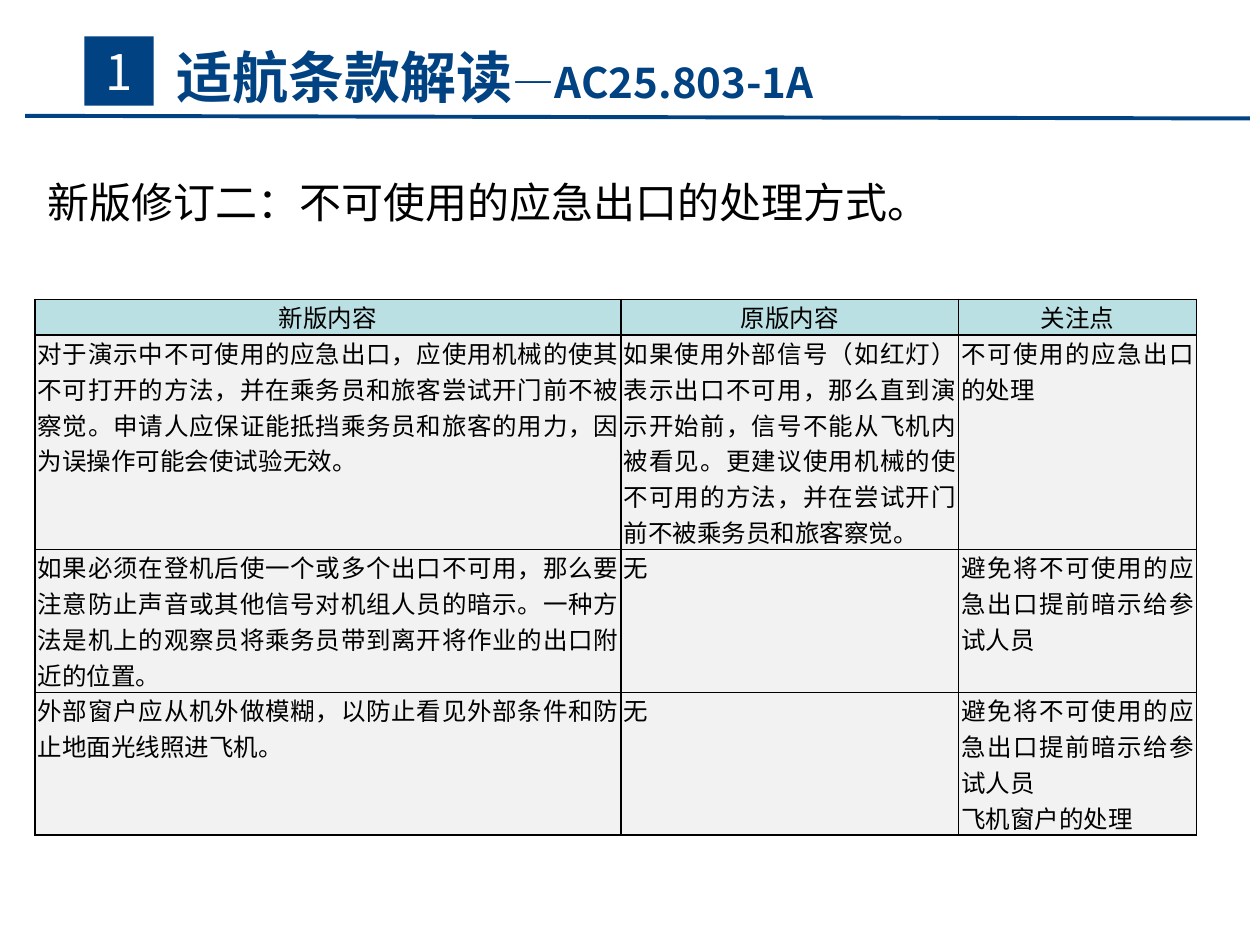
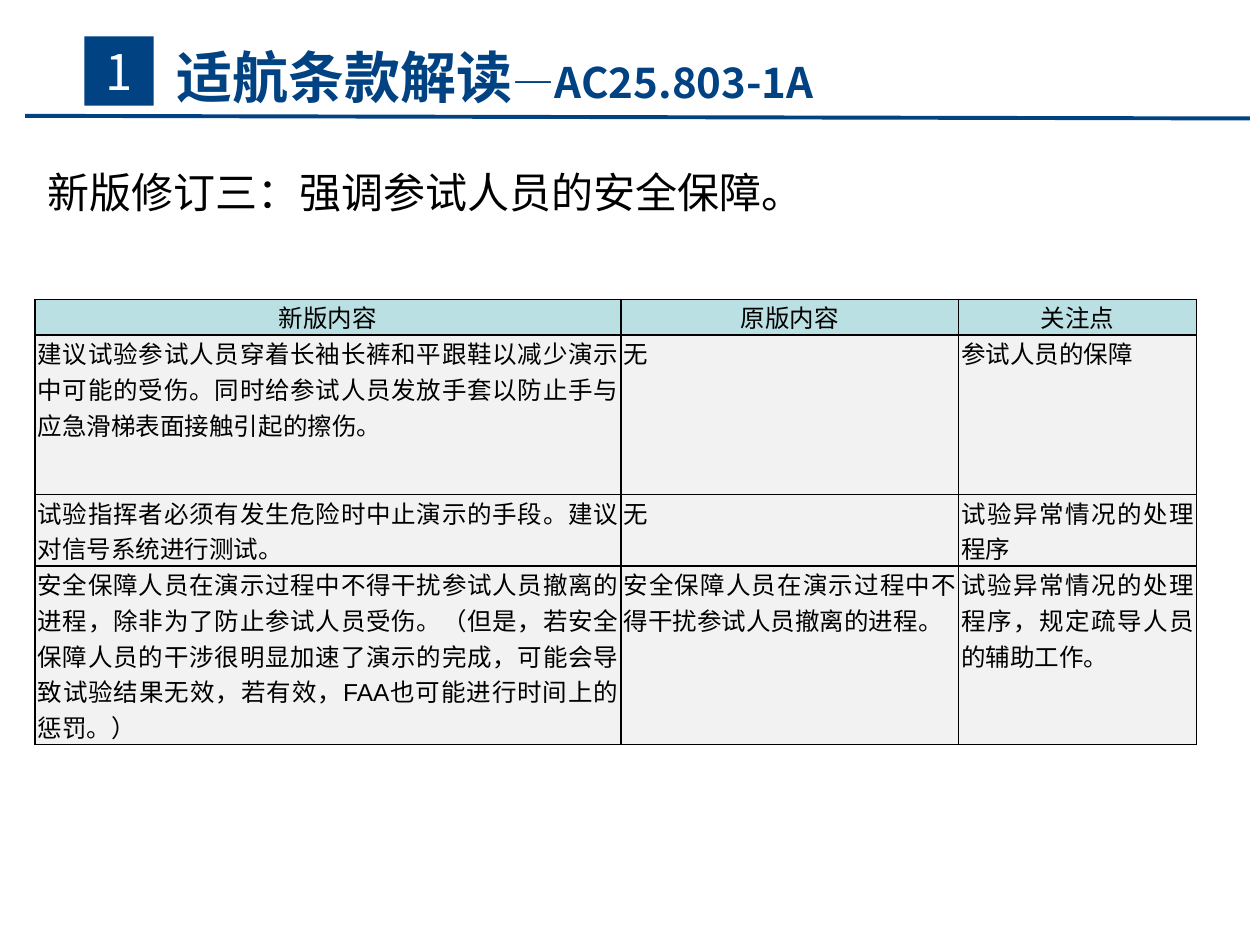
from lxml import etree
from pptx import Presentation
from pptx.dml.color import RGBColor
from pptx.enum.shapes import MSO_CONNECTOR as Line, MSO_SHAPE as Shape
from pptx.enum.text import MSO_ANCHOR as Anchor, PP_ALIGN as Align
from pptx.oxml.ns import qn
from pptx.util import Pt

COLORS = {"navy": "004282", "white": "FFFFFF", "black": "000000",
          "head": "BBE0E3", "body": "F2F2F2"}
HAN = "Noto Sans CJK SC"
ARIAL = "Arial"
TIMES = "Times New Roman"

COLS = (334.8, 193, 136)
ROW = 20.4
HEADS = ("新版内容", "原版内容", "关注点")
NONE = "无"
HINT = "避免将不可使用的应急出口提前暗示给参试人员"

# Each row: height in points, then the text of its cells.
EXITS = (
    (6 * ROW,
     "对于演示中不可使用的应急出口，应使用机械的使其不可打开的方法，"
     "并在乘务员和旅客尝试开门前不被察觉。申请人应保证能抵挡乘务员和旅客的用力，"
     "因为误操作可能会使试验无效。",
     "如果使用外部信号（如红灯）表示出口不可用，那么直到演示开始前，"
     "信号不能从飞机内被看见。更建议使用机械的使不可用的方法，"
     "并在尝试开门前不被乘务员和旅客察觉。",
     "不可使用的应急出口的处理"),
    (4 * ROW,
     "如果必须在登机后使一个或多个出口不可用，那么要注意防止声音或其他信号"
     "对机组人员的暗示。一种方法是机上的观察员将乘务员带到离开将作业的出口附近的位置。",
     NONE, HINT),
    (4 * ROW,
     "外部窗户应从机外做模糊，以防止看见外部条件和防止地面光线照进飞机。",
     NONE, HINT + "\n飞机窗户的处理"),
)
SAFETY = (
    (91.2,
     "建议试验参试人员穿着长袖长裤和平跟鞋以减少演示中可能的受伤。"
     "同时给参试人员发放手套以防止手与应急滑梯表面接触引起的擦伤。",
     NONE, "参试人员的保障"),
    (2 * ROW,
     "试验指挥者必须有发生危险时中止演示的手段。建议对信号系统进行测试。",
     NONE, "试验异常情况的处理程序"),
    (5 * ROW,
     "安全保障人员在演示过程中不得干扰参试人员撤离的进程，除非为了防止参试人员受伤。"
     "（但是，若安全保障人员的干涉很明显加速了演示的完成，可能会导致试验结果无效，"
     "若有效，FAA也可能进行时间上的惩罚。）",
     "安全保障人员在演示过程中不得干扰参试人员撤离的进程。",
     "试验异常情况的处理程序，规定疏导人员的辅助工作。"),
)


def color(name):
    return RGBColor.from_string(COLORS[name])


def paint(fill, name):
    fill.solid()
    fill.fore_color.rgb = color(name)


def add_run(para, text, size, ink="black", face=ARIAL, bold=False):
    run = para.add_run()
    run.text = text
    font = run.font
    font.size, font.bold, font.name = Pt(size), bold, face
    font.color.rgb = color(ink)
    east = etree.SubElement(run._r.get_or_add_rPr(), qn("a:ea"))
    east.set("typeface", HAN)


def add_title(slide):
    title = slide.shapes.title
    title.left, title.top = Pt(93.6), Pt(20.2)
    title.width, title.height = Pt(450), Pt(46)
    frame = title.text_frame
    frame.vertical_anchor = Anchor.MIDDLE
    para = frame.paragraphs[0]
    para.alignment = Align.LEFT
    add_run(para, "适航条款解读", 32, "navy", HAN, True)
    add_run(para, "—AC25.803-1A", 24, "navy", HAN, True)


def add_rule(slide):
    rule = slide.shapes.add_connector(
        Line.STRAIGHT, Pt(14.4), Pt(66.2), Pt(714.2), Pt(67.7))
    rule.line.color.rgb = color("navy")
    rule.line.width = Pt(2.25)
    etree.SubElement(rule._element.spPr, qn("a:effectLst"))


def add_badge(slide, text):
    badge = slide.shapes.add_shape(
        Shape.RECTANGLE, Pt(48.2), Pt(20.8), Pt(39.6), Pt(39.6))
    badge.shadow.inherit = False
    paint(badge.fill, "navy")
    badge.line.fill.background()
    frame = badge.text_frame
    frame.vertical_anchor = Anchor.MIDDLE
    para = frame.paragraphs[0]
    para.alignment = Align.CENTER
    add_run(para, text, 28, "white", HAN)


def add_lead(slide, text, top):
    box = slide.shapes.add_textbox(Pt(20.2), Pt(top), Pt(669), Pt(128 - top))
    box.text_frame.word_wrap = True
    para = box.text_frame.paragraphs[0]
    para.line_spacing = 1.5
    add_run(para, text, 24)


def add_edges(cell):
    """Draw a thin black border on all four sides of the cell."""
    props = cell._tc.get_or_add_tcPr()
    for spot, side in enumerate(("lnL", "lnR", "lnT", "lnB")):
        edge = etree.Element(qn("a:" + side), w=str(Pt(1)))
        fill = etree.SubElement(edge, qn("a:solidFill"))
        etree.SubElement(fill, qn("a:srgbClr"), val=COLORS["black"])
        props.insert(spot, edge)


def fill_cell(cell, text, face, back, align):
    cell.margin_left = cell.margin_right = Pt(1.5)
    cell.margin_top = cell.margin_bottom = Pt(0)
    paint(cell.fill, back)
    add_edges(cell)
    frame = cell.text_frame
    for num, line in enumerate(text.split("\n")):
        para = frame.add_paragraph() if num else frame.paragraphs[0]
        para.alignment = align
        add_run(para, line, 14, face=face if num == 0 else ARIAL)


def add_grid(slide, rows):
    rows = ((ROW, *HEADS), *rows)
    high = sum(row[0] for row in rows)
    grid = slide.shapes.add_table(
        len(rows), len(COLS), Pt(20), Pt(171), Pt(sum(COLS)), Pt(high)).table
    grid.first_row = grid.horz_banding = False
    for col, wide in zip(grid.columns, COLS):
        col.width = Pt(wide)
    for r, (tall, *texts) in enumerate(rows):
        grid.rows[r].height = Pt(tall)
        back, align = ("body", Align.JUSTIFY) if r else ("head", Align.CENTER)
        for c, text in enumerate(texts):
            special = text in (HEADS[2], "参试人员的保障") or text.startswith(HINT)
            face = TIMES if special else ARIAL
            fill_cell(grid.cell(r, c), text, face, back, align)


def add_page(deck, lead, top, rows):
    slide = deck.slides.add_slide(deck.slide_layouts[5])
    add_rule(slide)
    add_title(slide)
    add_badge(slide, "1")
    add_grid(slide, rows)
    add_lead(slide, lead, top)


def main():
    deck = Presentation()
    deck.slide_width, deck.slide_height = Pt(720), Pt(540)
    add_page(deck, "新版修订二：不可使用的应急出口的处理方式。", 82.8, EXITS)
    add_page(deck, "新版修订三：强调参试人员的安全保障。", 77, SAFETY)
    deck.save("out.pptx")


if __name__ == "__main__":
    main()
